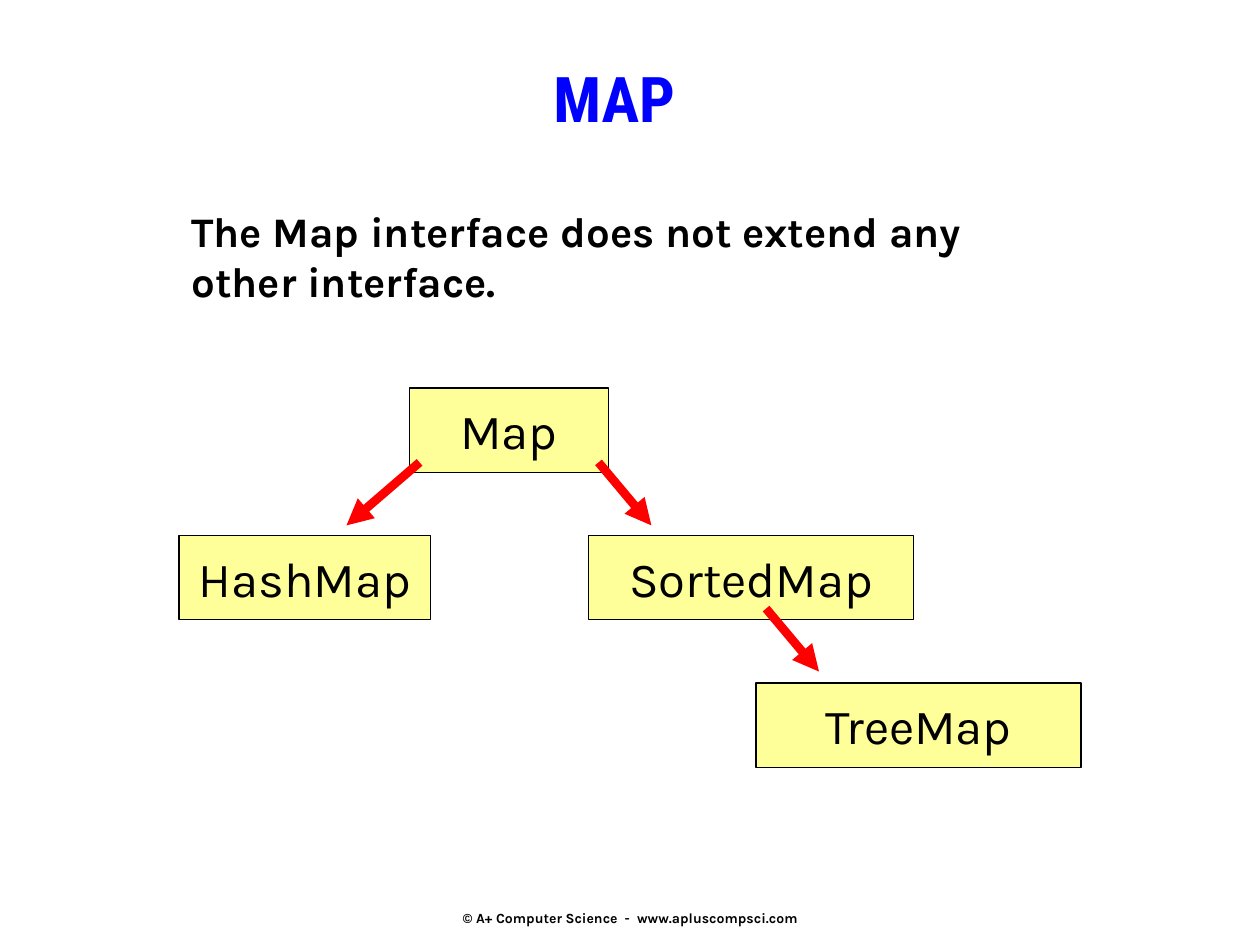
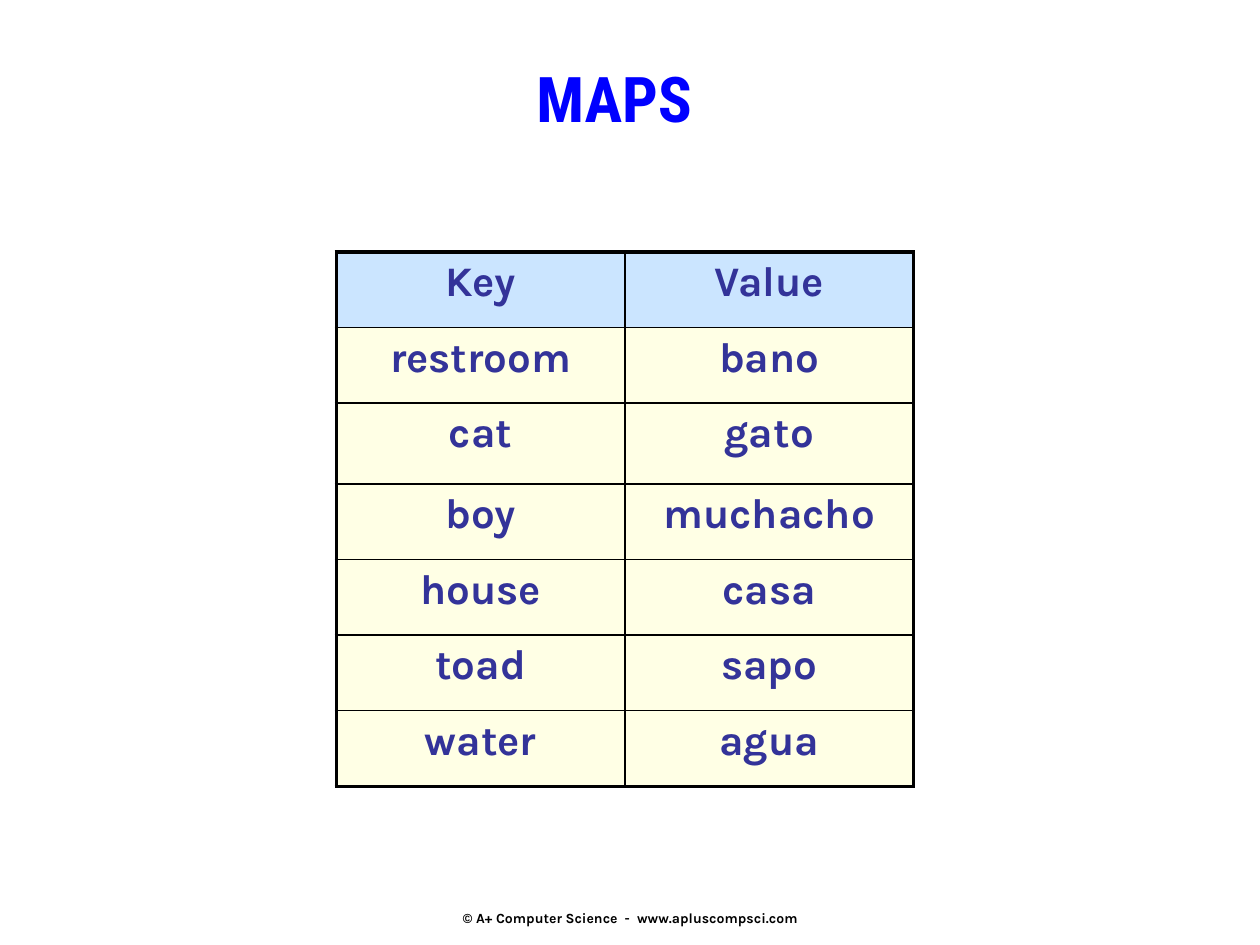
from lxml import etree
from pptx import Presentation
from pptx.dml.color import RGBColor
from pptx.enum.shapes import MSO_CONNECTOR, MSO_SHAPE
from pptx.enum.text import MSO_ANCHOR as Anchor, PP_ALIGN as Align
from pptx.oxml.ns import qn
from pptx.util import Inches, Pt

BLACK = RGBColor(0x00, 0x00, 0x00)
BLUE = RGBColor(0x00, 0x00, 0xFF)
RED = RGBColor(0xFF, 0x00, 0x00)
YELLOW = RGBColor(0xFF, 0xFF, 0x99)
INDIGO = RGBColor(0x33, 0x33, 0x99)
HEADER_BLUE = RGBColor(0x99, 0xCC, 0xFF)
BODY_CREAM = RGBColor(0xFF, 0xFF, 0xCC)

BODY_FONT = "Karla"
TITLE_FONT = "Roboto Condensed"
FOOTER = "© A+ Computer Science  -  www.apluscompsci.com"
THIN, THICK = 1, 2.25


class Deck:
    """Holds the shared style and the slide being built."""

    def __init__(self):
        self.prs = Presentation()
        self.prs.slide_width, self.prs.slide_height = Inches(10), Inches(7.5)
        self.slide = None

    def new_slide(self, title):
        self.slide = self.prs.slides.add_slide(self.prs.slide_layouts[6])
        self.text([FOOTER], (3.42, 7.16, 3.17, 0.25), 8, bold=True,
                  align=Align.CENTER, anchor=Anchor.MIDDLE, wrap=False)
        self.text([title], (2, 0.42, 5.75, 0.83), 36, BLUE, True, TITLE_FONT,
                  Align.CENTER, wrap=False)

    def add_lines(self, frame, lines, size, color, bold, font, align):
        for i, line in enumerate(lines):
            para = frame.add_paragraph() if i else frame.paragraphs[0]
            para.alignment = align
            run = para.add_run()
            run.text = line
            run.font.name, run.font.size, run.font.bold = font, Pt(size), bold
            run.font.color.rgb = color

    def text(self, lines, place, size, color=BLACK, bold=False, font=BODY_FONT,
             align=Align.LEFT, anchor=Anchor.TOP, wrap=True):
        frame = self.slide.shapes.add_textbox(*map(Inches, place)).text_frame
        frame.word_wrap, frame.vertical_anchor = wrap, anchor
        self.add_lines(frame, lines, size, color, bold, font, align)

    def type_box(self, name, left, top, width):
        box = self.slide.shapes.add_shape(
            MSO_SHAPE.RECTANGLE, *map(Inches, (left, top, width, 0.67)))
        box.shadow.inherit = False
        box.fill.solid()
        box.fill.fore_color.rgb = YELLOW
        box.line.color.rgb, box.line.width = BLACK, Pt(0.75)
        frame = box.text_frame
        frame.word_wrap, frame.vertical_anchor = False, Anchor.MIDDLE
        self.add_lines(frame, [name], 28, BLACK, False, BODY_FONT, Align.CENTER)

    def arrow(self, start, end):
        arrow = self.slide.shapes.add_connector(
            MSO_CONNECTOR.STRAIGHT, *map(Inches, start + end))
        arrow.line.color.rgb, arrow.line.width = RED, Pt(5)
        properties = arrow._element.spPr
        etree.SubElement(properties.find(qn("a:ln")), qn("a:tailEnd"), type="triangle")
        etree.SubElement(properties, qn("a:effectLst"))

    def table(self, rows, left, top, col_width, heights):
        last_row, last_col = len(rows) - 1, len(rows[0]) - 1
        table = self.slide.shapes.add_table(
            len(rows), len(rows[0]), Inches(left), Inches(top),
            Inches(col_width * len(rows[0])), Inches(sum(heights))).table
        for column in table.columns:
            column.width = Inches(col_width)
        for r, (words, height) in enumerate(zip(rows, heights)):
            table.rows[r].height = Inches(height)
            for c, word in enumerate(words):
                cell = table.cell(r, c)
                self.add_lines(cell.text_frame, [word], 24, INDIGO, True,
                               BODY_FONT, Align.CENTER)
                # Heavy outer frame, thin inner rules
                outer = {"L": c == 0, "R": c == last_col,
                         "T": r == 0, "B": r == last_row}
                for side, is_outer in outer.items():
                    self.border(cell, side, THICK if is_outer else THIN)
                self.tint(cell, BODY_CREAM if r else HEADER_BLUE)

    def border(self, cell, side, width):
        line = etree.SubElement(cell._tc.get_or_add_tcPr(), qn(f"a:ln{side}"),
                                w=str(Pt(width)))
        fill = etree.SubElement(line, qn("a:solidFill"))
        etree.SubElement(fill, qn("a:srgbClr"), val=str(BLACK))

    def tint(self, cell, color):
        """Half-transparent cell fill."""
        cell.fill.solid()
        cell.fill.fore_color.rgb = color
        value = cell._tc.tcPr.find(qn("a:solidFill")).find(qn("a:srgbClr"))
        etree.SubElement(value, qn("a:alpha"), val="50000")


def main():
    deck = Deck()

    # Map hierarchy
    deck.new_slide("MAP")
    deck.text(["The Map interface does not extend any", "other interface."],
              (1.42, 1.58, 6.92, 0.9), 24, bold=True)
    map_top, sorted_top, tree_top = (3.08 + 1.17 * level for level in range(3))
    deck.type_box("Map", 3.25, map_top, 1.58)
    deck.arrow((3.33, 3.67), (2.75, 4.17))
    deck.arrow((4.75, 3.67), (5.17, 4.17))
    deck.type_box("HashMap", 1.42, sorted_top, 2)
    deck.type_box("SortedMap", 4.67, sorted_top, 2.58)
    deck.arrow((6.08, 4.83), (6.5, 5.33))
    deck.type_box("TreeMap", 6, tree_top, 2.58)

    # Key and value pairs
    deck.new_slide("MAPS")
    translations = [
        ("Key", "Value"), ("restroom", "bano"), ("cat", "gato"),
        ("boy", "muchacho"), ("house", "casa"), ("toad", "sapo"),
        ("water", "agua"),
    ]
    heights = [0.64 if key == "cat" else 0.6 for key, _ in translations]
    deck.table(translations, 2.67, 2, 2.29, heights)

    deck.prs.save("out.pptx")


if __name__ == "__main__":
    main()
